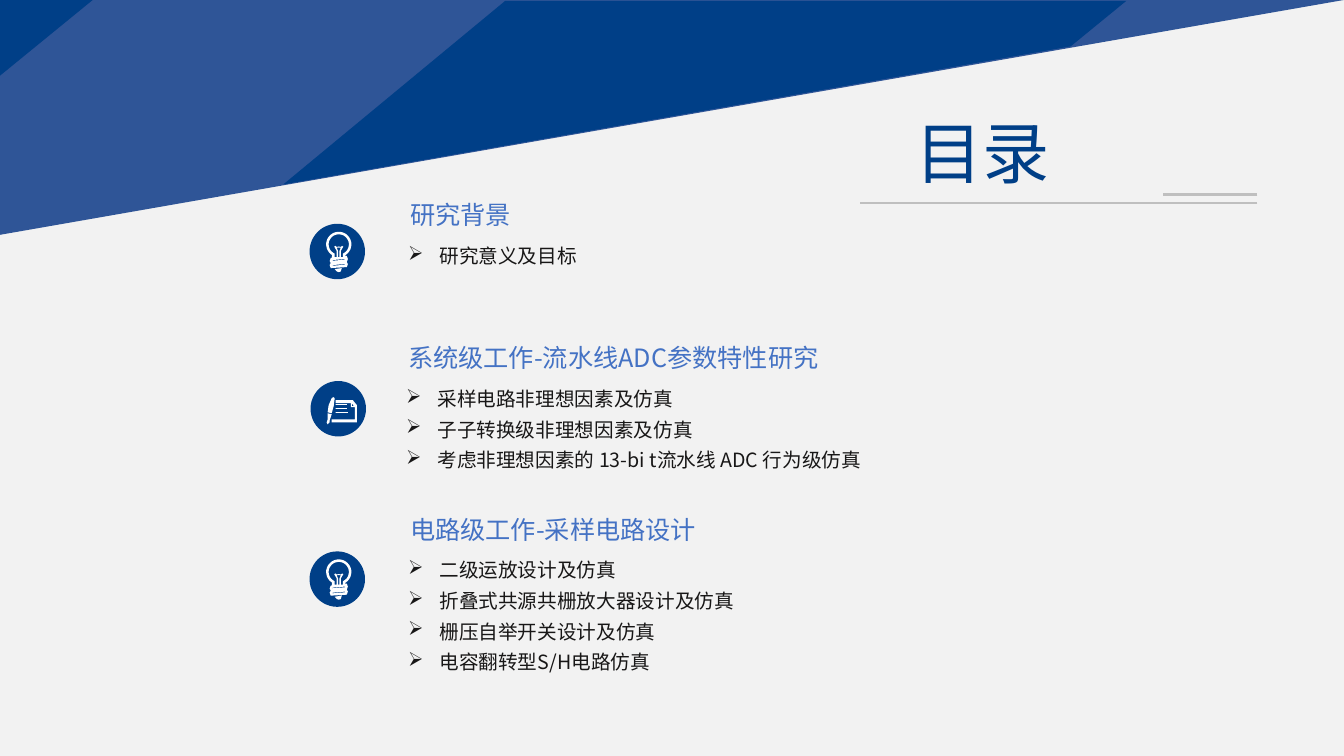
import math

import pptx
import pptx.dml.color
import pptx.enum.shapes
import pptx.enum.text
import pptx.oxml.ns
import pptx.util
from lxml import etree
from pptx.util import Inches

FONT = "Noto Sans CJK SC"
NAVY, BLUE, GREY, WHITE = "003F87", "2F5597", "BFBFBF", "FFFFFF"
HEADING, BODY, PAPER = "4472C4", "181717", "F2F2F2"
BADGE = 0.55


def color(value):
    return pptx.dml.color.RGBColor.from_string(value)


def paint(sp, fill):
    sp.fill.solid()
    sp.fill.fore_color.rgb = color(fill)
    sp.line.fill.background()
    sp.shadow.inherit = False


def add_outline(s, contours, fill, left=0, top=0):
    """Draw closed contours, given in inches from (left, top), as one shape."""
    contours = [[(x * 1000, y * 1000) for x, y in points] for points in contours]
    builder = s.shapes.build_freeform(*contours[0][0], scale=Inches(1) / 1000)
    builder.add_line_segments(contours[0][1:], close=True)
    for points in contours[1:]:
        builder.move_to(*points[0])
        builder.add_line_segments(points[1:], close=True)
    paint(builder.convert_to_shape(Inches(left), Inches(top)), fill)


def add_rule(s, x1, x2, y):
    line = s.shapes.add_connector(pptx.enum.shapes.MSO_CONNECTOR.STRAIGHT,
                                  Inches(x1), Inches(y), Inches(x2), Inches(y))
    line.line.color.rgb = color(GREY)
    line.line.width = pptx.util.Pt(1.5)
    etree.SubElement(line._element.spPr, pptx.oxml.ns.qn("a:effectLst"))


def add_bullet(p):
    pPr = p._p.get_or_add_pPr()
    pPr.set("marL", str(Inches(0.31)))
    pPr.set("indent", str(-Inches(0.31)))
    etree.SubElement(pPr, pptx.oxml.ns.qn("a:buChar")).set("char", "➢")
    p.line_spacing = 1.3
    p.alignment = pptx.enum.text.PP_ALIGN.JUSTIFY


def add_text(s, box, lines, size, fill, bullets=False):
    tf = s.shapes.add_textbox(*map(Inches, box)).text_frame
    tf.word_wrap = True
    tf.auto_size = pptx.enum.text.MSO_AUTO_SIZE.SHAPE_TO_FIT_TEXT
    for i, text in enumerate(lines):
        p = tf.add_paragraph() if i else tf.paragraphs[0]
        if bullets:
            add_bullet(p)
        r = p.add_run()
        r.text = text
        r.font.size = pptx.util.Pt(size)
        r.font.name = FONT
        r.font.color.rgb = color(fill)
        ea = etree.SubElement(r._r.get_or_add_rPr(), pptx.oxml.ns.qn("a:ea"))
        ea.set("typeface", FONT)


# Icon contours, in hundredths of an inch from the badge corner
def arc(radius, start, end, steps=40):
    angles = [math.radians(start + (end - start) * i / steps) for i in range(steps + 1)]
    return [(29 + radius * math.cos(a), 20.5 + radius * math.sin(a)) for a in angles]


def bar(x1, x2, y, rise=0):
    return [(x1, y), (x2, y - rise), (x2, y - rise + 0.7), (x1, y + 0.7)]


BULB = [
    # Glass and screw base
    arc(12.5, 122, 418) + [(35, 32), (37, 32), (38, 35), (37, 38), (38, 40), (37, 43),
                           (21, 44), (20, 41), (21, 39), (20, 37), (21, 34), (22, 34)],
    # Inside of the glass, around the filament
    arc(10, 115, 425) + [(33, 33), (31, 33), (31, 27), (33.5, 22.7), (32.3, 22),
                         (31, 23), (29, 22.6), (27, 23), (25.7, 22), (24.5, 22.7),
                         (27, 27), (27, 33), (25, 33)],
    [(31, 23.7), (27, 23.7), (28.3, 27), (28.3, 33), (29.7, 33), (29.7, 27)],
    [(32, 44), (25, 45), (27, 47.3), (29, 48), (31, 47.3)],
    bar(23, 35, 36, 1), bar(23, 35, 41, 1),
]
PEN_AND_PAGE = [
    [(21, 17), (22.5, 16), (24, 17), (23, 25), (21, 32), (17, 31), (18, 24)],
    [(17, 32), (21, 33), (19, 39), (17, 38)],
    [(17, 38.3), (19, 39.3), (19, 41), (17, 43), (16, 41)],
    [(21, 38), (21, 41), (46, 41), (46, 24), (42, 19), (25, 19), (25, 22),
     (40, 22), (40, 26), (44, 26), (44, 38)],
    [(43, 25), (41, 25), (41, 22)],
    bar(25, 37, 31), bar(25, 36, 27), bar(25, 36, 23),
]

# Badge corner, icon, heading box, heading, list box, list items
SECTIONS = [
    ((3.07, 2.22), BULB, (3.97, 1.93, 2.56, 0.4), "研究背景",
     (3.95, 2.3, 3.02, 0.38), ["研究意义及目标"]),
    ((3.08, 3.78), PEN_AND_PAGE, (3.95, 3.35, 4.56, 0.4), "系统级工作-流水线ADC参数特性研究",
     (3.93, 3.72, 4.82, 0.99),
     ["采样电路非理想因素及仿真", "子子转换级非理想因素及仿真",
      "考虑非理想因素的 13-bi t流水线 ADC 行为级仿真"]),
    ((3.07, 5.47), BULB, (3.97, 5.05, 3.96, 0.4), "电路级工作-采样电路设计",
     (3.95, 5.42, 3.66, 1.3),
     ["二级运放设计及仿真", "折叠式共源共栅放大器设计及仿真",
      "栅压自举开关设计及仿真", "电容翻转型S/H电路仿真"]),
]


def add_badge(s, left, top, icon):
    sp = s.shapes.add_shape(pptx.enum.shapes.MSO_SHAPE.OVAL, Inches(left), Inches(top),
                            Inches(BADGE), Inches(BADGE))
    paint(sp, NAVY)
    contours = [[(x / 100, y / 100) for x, y in points] for points in icon]
    add_outline(s, contours, WHITE, left, top)


def main():
    prs = pptx.Presentation()
    prs.slide_width, prs.slide_height = Inches(13.33), Inches(7.5)
    s = prs.slides.add_slide(prs.slide_layouts[6])
    s.background.fill.solid()
    s.background.fill.fore_color.rgb = color(PAPER)

    # Slanted banner
    add_outline(s, [[(0, 0), (13.33, 0), (0, 2.33)]], BLUE)
    add_outline(s, [[(-0.01, 0), (0.92, 0), (-0.01, 0.76)]], NAVY)
    add_outline(s, [[(5.01, 0.01), (11.17, 0.01), (10.62, 0.46), (2.81, 1.83)]], NAVY)

    # Title and its rules
    add_text(s, (8.98, 1.06, 3.97, 0.91), ["目录"], 48, NAVY)
    add_rule(s, 12.47, 8.53, 2.01)
    add_rule(s, 12.47, 11.53, 1.93)

    # Contents
    for corner, icon, heading_box, heading, list_box, items in SECTIONS:
        add_badge(s, *corner, icon)
        add_text(s, list_box, items, 14, BODY, bullets=True)
        add_text(s, heading_box, [heading], 18, HEADING)

    prs.save("out.pptx")


if __name__ == "__main__":
    main()
